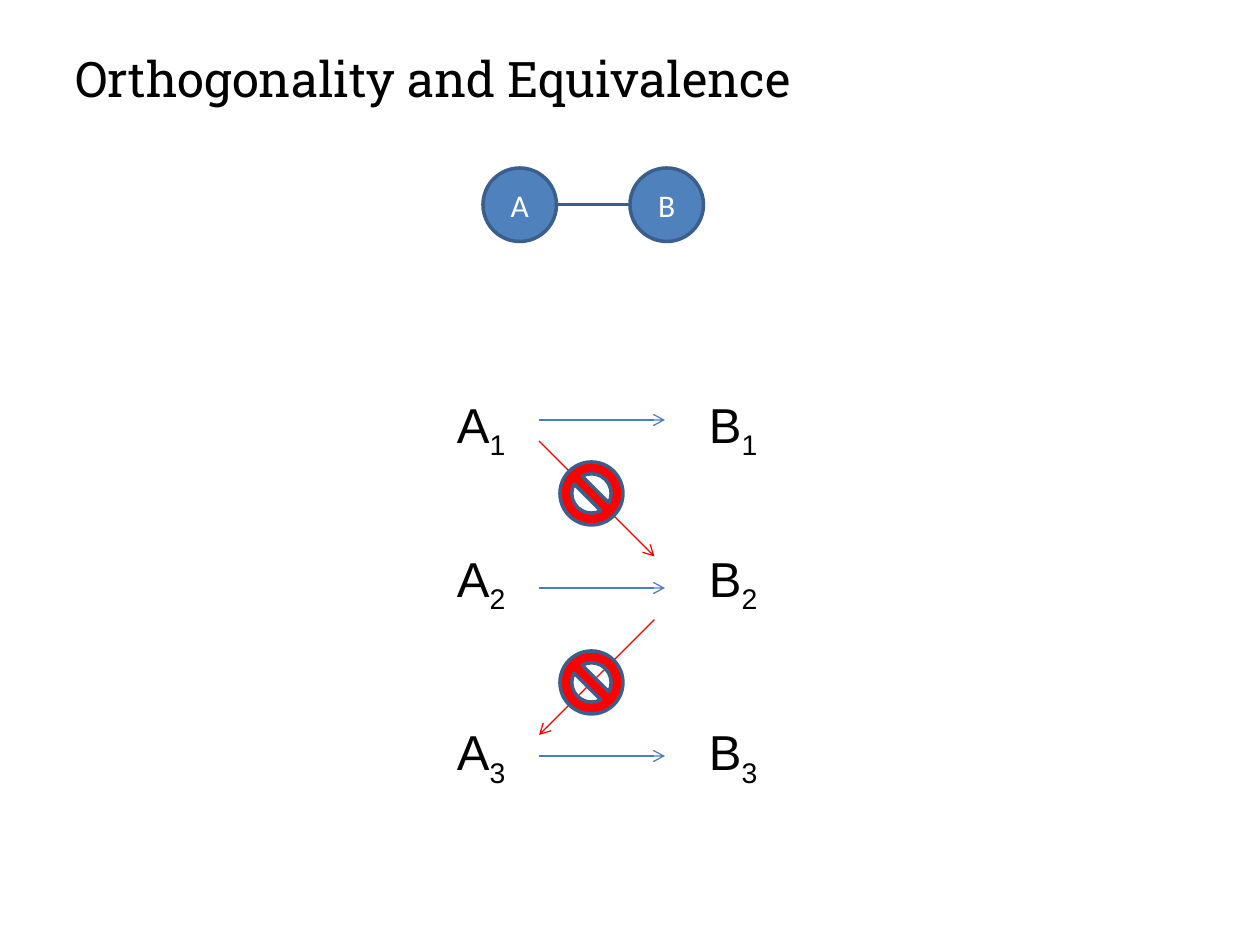
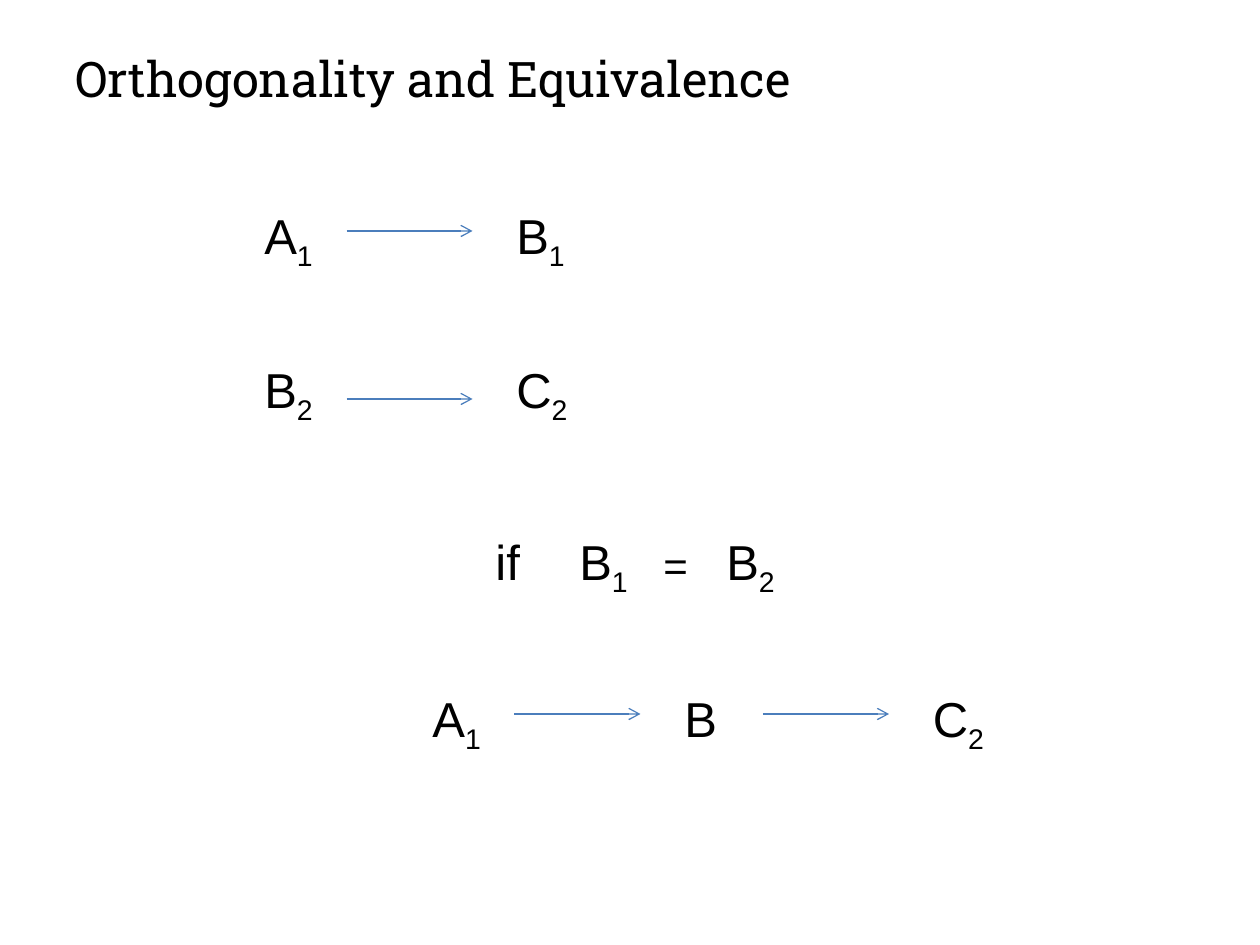
from dataclasses import dataclass

from lxml import etree
from pptx import Presentation
from pptx.dml.color import RGBColor
from pptx.enum.shapes import MSO_CONNECTOR, MSO_SHAPE
from pptx.enum.text import MSO_ANCHOR, MSO_AUTO_SIZE, PP_ALIGN
from pptx.oxml.ns import qn
from pptx.util import Pt

STRAIGHT = MSO_CONNECTOR.STRAIGHT
OVAL, NO_SIGN = MSO_SHAPE.OVAL, MSO_SHAPE.NO_SYMBOL
MIDDLE, CENTER = MSO_ANCHOR.MIDDLE, PP_ALIGN.CENTER
FIT_SHAPE = MSO_AUTO_SIZE.SHAPE_TO_FIT_TEXT

# Shared colours and text formats
BLACK = RGBColor(0x00, 0x00, 0x00)
WHITE = RGBColor(0xFF, 0xFF, 0xFF)
RED = RGBColor(0xFF, 0x00, 0x00)
NODE_BLUE = RGBColor(0x4F, 0x81, 0xBD)
EDGE_BLUE = RGBColor(0x3A, 0x5F, 0x8C)
ARROW_BLUE = RGBColor(0x4B, 0x7E, 0xBC)

TITLE = "Orthogonality and Equivalence"
TITLE_FONT = {"name": "Roboto Slab", "size": Pt(28)}
TERM_FONT = {"name": "Arial", "size": Pt(28)}
EQUALS_FONT = {"name": "Arial", "size": Pt(24)}
NODE_FONT = {"name": "Calibri", "size": Pt(18)}

# Distances within one mapping, in points
TERM_STEP = 144
ARROW_OFFSET = 54
ARROW_LENGTH = 72
NODE_SIZE = 42
SIGN_SIZE = 36


@dataclass(frozen=True)
class Term:
    letter: str
    index: str
    left: float
    top: float
    width: float = 44
    height: float = 41


@dataclass(frozen=True)
class Mapping:
    source: str
    target: str
    left: float
    top: float
    arrow_y: float


@dataclass(frozen=True)
class Line:
    x1: float
    y1: float
    x2: float
    y2: float
    color: RGBColor = ARROW_BLUE
    weight: float = 0.75
    arrow: bool = True


def apply_format(target, values: dict) -> None:
    for attribute, value in values.items():
        setattr(target, attribute, value)


def add_run(paragraph, text: str, font: dict, color: RGBColor = BLACK):
    run = paragraph.add_run()
    run.text = text
    apply_format(run.font, font)
    run.font.color.rgb = color
    return run


def add_title(slide) -> None:
    title = slide.shapes.add_textbox(Pt(36), Pt(24), Pt(552), Pt(41))
    title.text_frame.word_wrap = True
    add_run(title.text_frame.paragraphs[0], TITLE, TITLE_FONT)


def add_term(slide, term: Term, font: dict = TERM_FONT) -> None:
    box = slide.shapes.add_textbox(
        Pt(term.left), Pt(term.top), Pt(term.width), Pt(term.height))
    apply_format(box.text_frame, {"word_wrap": False, "auto_size": FIT_SHAPE})
    paragraph = box.text_frame.paragraphs[0]
    add_run(paragraph, term.letter, font)
    if term.index:
        index = add_run(paragraph, term.index, font)
        index.font._element.set("baseline", "-25000")


def add_line(slide, line: Line) -> None:
    connector = slide.shapes.add_connector(
        STRAIGHT, Pt(line.x1), Pt(line.y1), Pt(line.x2), Pt(line.y2))
    connector.line.color.rgb = line.color
    connector.line.width = Pt(line.weight)
    if line.arrow:
        etree.SubElement(connector.line._get_or_add_ln(), qn("a:tailEnd"), type="arrow")
    etree.SubElement(connector._element.spPr, qn("a:effectLst"))


def add_map_arrow(slide, left: float, y: float) -> None:
    add_line(slide, Line(left, y, left + ARROW_LENGTH, y))


def add_mapping(slide, mapping: Mapping) -> None:
    ends = ((mapping.source, mapping.left),
            (mapping.target, mapping.left + TERM_STEP))
    for name, left in ends:
        add_term(slide, Term(name[0], name[1:], left, mapping.top))
    add_map_arrow(slide, mapping.left + ARROW_OFFSET, mapping.arrow_y)


def add_round(slide, kind, left: float, top: float, size: float, fill: RGBColor):
    shape = slide.shapes.add_shape(kind, Pt(left), Pt(top), Pt(size), Pt(size))
    shape.shadow.inherit = False
    shape.fill.solid()
    shape.fill.fore_color.rgb = fill
    shape.line.color.rgb = EDGE_BLUE
    shape.line.width = Pt(2)
    return shape


def add_node(slide, name: str, left: float) -> None:
    node = add_round(slide, OVAL, left, 96, NODE_SIZE, NODE_BLUE)
    node.text_frame.vertical_anchor = MIDDLE
    paragraph = node.text_frame.paragraphs[0]
    paragraph.alignment = CENTER
    add_run(paragraph, name, NODE_FONT, WHITE)


def build_orthogonality(slide) -> None:
    # Linked entities
    add_line(slide, Line(318, 117, 366, 117, EDGE_BLUE, 2, False))
    add_title(slide)
    for name, left in (("A", 276), ("B", 360)):
        add_node(slide, name, left)

    # Allowed mappings
    for number, top in enumerate((222, 310, 409), start=1):
        add_mapping(slide, Mapping(f"A{number}", f"B{number}", 254, top,
                                   240 + 96 * (number - 1)))

    # Forbidden mappings
    add_line(slide, Line(308, 252, 374, 318, RED))
    add_line(slide, Line(374, 354, 308, 420, RED))
    for top in (264, 372):
        add_round(slide, NO_SIGN, 320, top, SIGN_SIZE, RED)


def build_equivalence(slide) -> None:
    add_title(slide)

    # Separate mappings
    add_mapping(slide, Mapping("A1", "B1", 144, 114, 132))
    add_mapping(slide, Mapping("B2", "C2", 144, 202, 228))

    # Condition
    add_term(slide, Term("if", "", 276, 300, 29))
    add_term(slide, Term("B", "1", 324, 300))
    add_term(slide, Term("=", "", 372, 305, 29, 37), EQUALS_FONT)
    add_term(slide, Term("B", "2", 408, 300))

    # Merged chain
    for term in (Term("A", "1", 240, 390), Term("B", "", 384, 390, 33),
                 Term("C", "2", 526, 390, 45)):
        add_term(slide, term)
    for left in (294, 436):
        add_map_arrow(slide, left, 408)


def main() -> None:
    deck = Presentation()
    deck.slide_width, deck.slide_height = Pt(720), Pt(540)
    blank = deck.slide_layouts[6]
    for build in (build_orthogonality, build_equivalence):
        build(deck.slides.add_slide(blank))
    deck.save("out.pptx")


if __name__ == "__main__":
    main()
